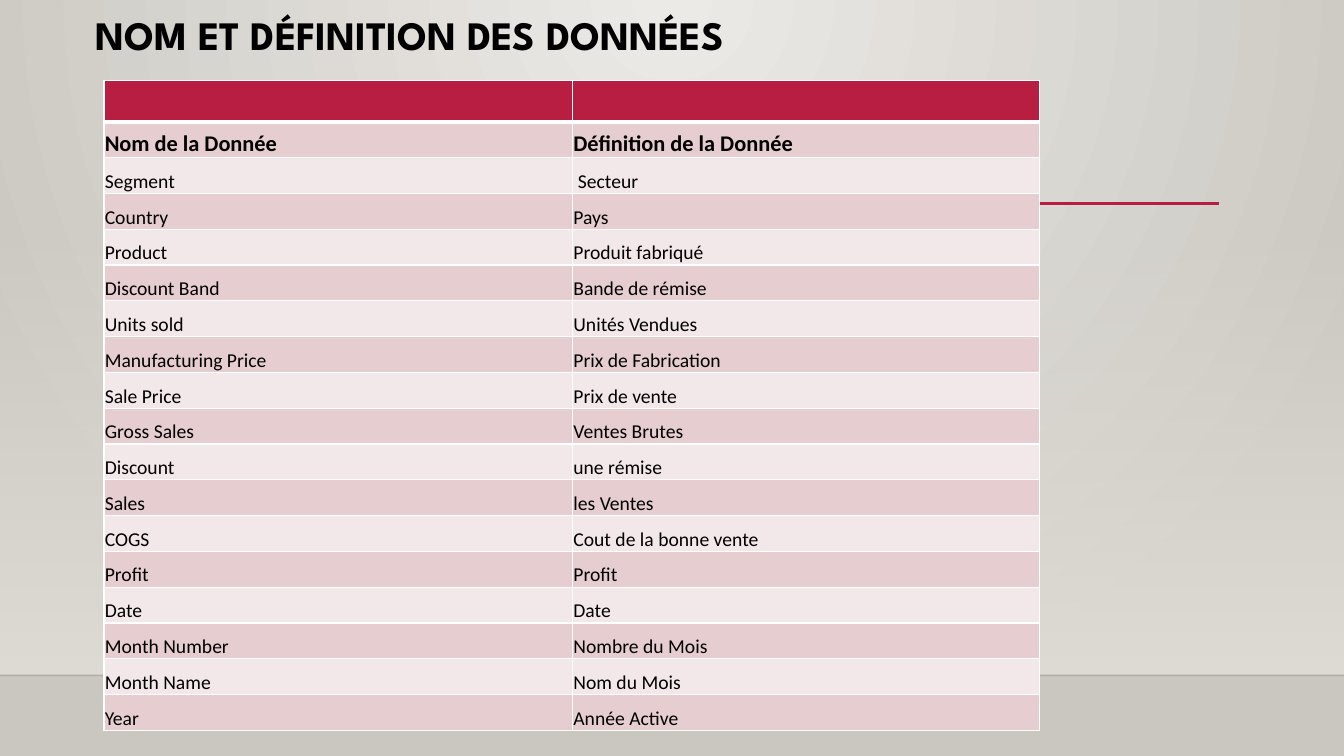
from dataclasses import dataclass
from typing import Any, NamedTuple

from lxml.etree import SubElement as Sub
from pptx import Presentation
from pptx.dml.color import RGBColor as Rgb
from pptx.enum.shapes import MSO_CONNECTOR as Link, MSO_SHAPE as Form
from pptx.enum.text import MSO_ANCHOR as Anchor
from pptx.oxml import parse_xml
from pptx.oxml.ns import nsdecls, qn
from pptx.util import Cm, Pt


@dataclass(frozen=True)
class Theme:
    red: str = "B71E42"
    rose: str = "E6CDCF"
    pale: str = "F3E8E9"
    white: str = "FFFFFF"
    black: str = "000000"
    light: str = "ECEAE7"
    stone: str = "CAC7C1"
    sand: str = "DFDBD5"
    head: str = "League Spartan"
    body: str = "Calibri"
    title: float = 28.8
    label: float = 16
    text: float = 14


class Stop(NamedTuple):
    pos: int
    color: str
    alpha: int = 100


class Rule(NamedTuple):
    left: float
    right: float
    top: float
    color: str
    width: float
    alpha: int = 100


class Term(NamedTuple):
    name: str
    sense: str


THEME = Theme()
WIDE, HIGH = 33.87, 19.05
FLOOR = 17.02
HEAD, TALL = 1.04, 16.38
COLS = (11.81, 11.76)
CELL = {
    "margin_left": Cm(0.02),
    "margin_right": Cm(0.02),
    "margin_top": Cm(0.02),
    "margin_bottom": Cm(0),
    "vertical_anchor": Anchor.BOTTOM,
}
RULES = (
    Rule(0, WIDE, FLOOR, THEME.black, 1, 20),
    Rule(4.04, 30.73, 5.13, THEME.red, 2.5),
)
TERMS = (
    Term("Nom de la Donnée", "Définition de la Donnée"),
    Term("Segment", " Secteur"),
    Term("Country", "Pays"),
    Term("Product", "Produit fabriqué"),
    Term("Discount Band", "Bande de rémise"),
    Term("Units sold", "Unités Vendues"),
    Term("Manufacturing Price", "Prix de Fabrication"),
    Term("Sale Price", "Prix de vente"),
    Term("Gross Sales", "Ventes Brutes"),
    Term("Discount", "une rémise"),
    Term("Sales", "les Ventes"),
    Term("COGS", "Cout de la bonne vente"),
    Term("Profit", "Profit"),
    Term("Date", "Date"),
    Term("Month Number", "Nombre du Mois"),
    Term("Month Name", "Nom du Mois"),
    Term("Year", "Année Active"),
)


def apply(item: Any, form: dict[str, Any]) -> None:
    for key, value in form.items():
        setattr(item, key, value)


def style(font: Any, face: str, size: float, bold: bool) -> None:
    apply(font, {"name": face, "size": Pt(size), "bold": bold})
    font.color.rgb = Rgb.from_string(THEME.black)


def blend(owner: Any, stops: tuple[Stop, ...], shade: str) -> None:
    marks = "".join(
        f'<a:gs pos="{stop.pos * 1000}"><a:srgbClr val="{stop.color}">'
        f'<a:alpha val="{stop.alpha * 1000}"/></a:srgbClr></a:gs>'
        for stop in stops
    )
    grad = parse_xml(
        f'<a:gradFill {nsdecls("a")} rotWithShape="1">'
        f"<a:gsLst>{marks}</a:gsLst>{shade}</a:gradFill>"
    )
    solid = owner.find(qn("a:solidFill"))
    owner.replace(solid, grad)


def add_back(slide: Any) -> None:
    slide.background.fill.solid()
    owner = slide.element.xpath("p:cSld/p:bg/p:bgPr")[0]
    shade = (
        '<a:path path="circle">'
        '<a:fillToRect l="43000" t="0" r="43000" b="100000"/></a:path>'
    )
    blend(owner, (Stop(0, THEME.light), Stop(100, THEME.stone)), shade)
    wall = slide.shapes.add_shape(
        Form.RECTANGLE, Cm(0), Cm(5.61), Cm(WIDE), Cm(FLOOR - 5.61)
    )
    wall.shadow.inherit = False
    wall.line.fill.background()
    wall.fill.solid()
    stops = (Stop(0, THEME.sand, 0), Stop(100, THEME.sand))
    blend(wall.element.spPr, stops, '<a:lin ang="5400000" scaled="0"/>')


def add_rule(slide: Any, rule: Rule) -> None:
    line = slide.shapes.add_connector(
        Link.STRAIGHT, Cm(rule.left), Cm(rule.top), Cm(rule.right), Cm(rule.top)
    )
    line.line.width = Pt(rule.width)
    line.line.color.rgb = Rgb.from_string(rule.color)
    props = line.element.spPr
    tint = props.find(f'{qn("a:ln")}/{qn("a:solidFill")}/{qn("a:srgbClr")}')
    Sub(tint, qn("a:alpha"), val=str(rule.alpha * 1000))
    Sub(props, qn("a:effectLst"))


def add_title(slide: Any, text: str) -> None:
    box = slide.shapes.add_textbox(Cm(2.16), Cm(0.36), Cm(29.21), Cm(1.17))
    frame = box.text_frame
    apply(frame, {"word_wrap": True, "vertical_anchor": Anchor.MIDDLE})
    para = frame.paragraphs[0]
    para.line_spacing = 0.9
    run = para.add_run()
    run.text = text
    style(run.font, THEME.head, THEME.title, True)


def edge(cell: Any, top: float, bottom: float) -> None:
    props = cell._tc.get_or_add_tcPr()
    widths = {"lnL": 1, "lnR": 1, "lnT": top, "lnB": bottom}
    for spot, (side, width) in enumerate(widths.items()):
        line = parse_xml(
            f'<a:{side} {nsdecls("a")} w="{Pt(width)}"><a:solidFill>'
            f'<a:srgbClr val="{THEME.white}"/></a:solidFill></a:{side}>'
        )
        props.insert(spot, line)


def paint(cell: Any, color: str) -> None:
    cell.fill.solid()
    cell.fill.fore_color.rgb = Rgb.from_string(color)


def add_terms(slide: Any) -> None:
    table = slide.shapes.add_table(
        len(TERMS) + 1, len(COLS), Cm(2.62), Cm(2.03), Cm(sum(COLS)), Cm(TALL)
    ).table
    for col, width in zip(table.columns, COLS):
        col.width = Cm(width)
    for row in table.rows:
        row.height = Cm((TALL - HEAD) / len(TERMS))
    table.rows[0].height = Cm(HEAD)
    for cell in table.rows[0].cells:
        paint(cell, THEME.red)
        edge(cell, 1, 3)
    for spot, term in enumerate(TERMS):
        first = spot == 0
        for cell, text in zip(table.rows[spot + 1].cells, term):
            apply(cell, CELL)
            paint(cell, THEME.pale if spot % 2 else THEME.rose)
            edge(cell, 3 if first else 1, 1)
            run = cell.text_frame.paragraphs[0].add_run()
            run.text = text
            style(run.font, THEME.body, THEME.label if first else THEME.text, first)


def main() -> None:
    deck = Presentation()
    apply(deck, {"slide_width": Cm(WIDE), "slide_height": Cm(HIGH)})
    slide = deck.slides.add_slide(deck.slide_layouts[6])
    add_back(slide)
    for rule in RULES:
        add_rule(slide, rule)
    add_title(slide, "NOM ET DÉFINITION DES DONNÉES")
    add_terms(slide)
    deck.save("out.pptx")


if __name__ == "__main__":
    main()
